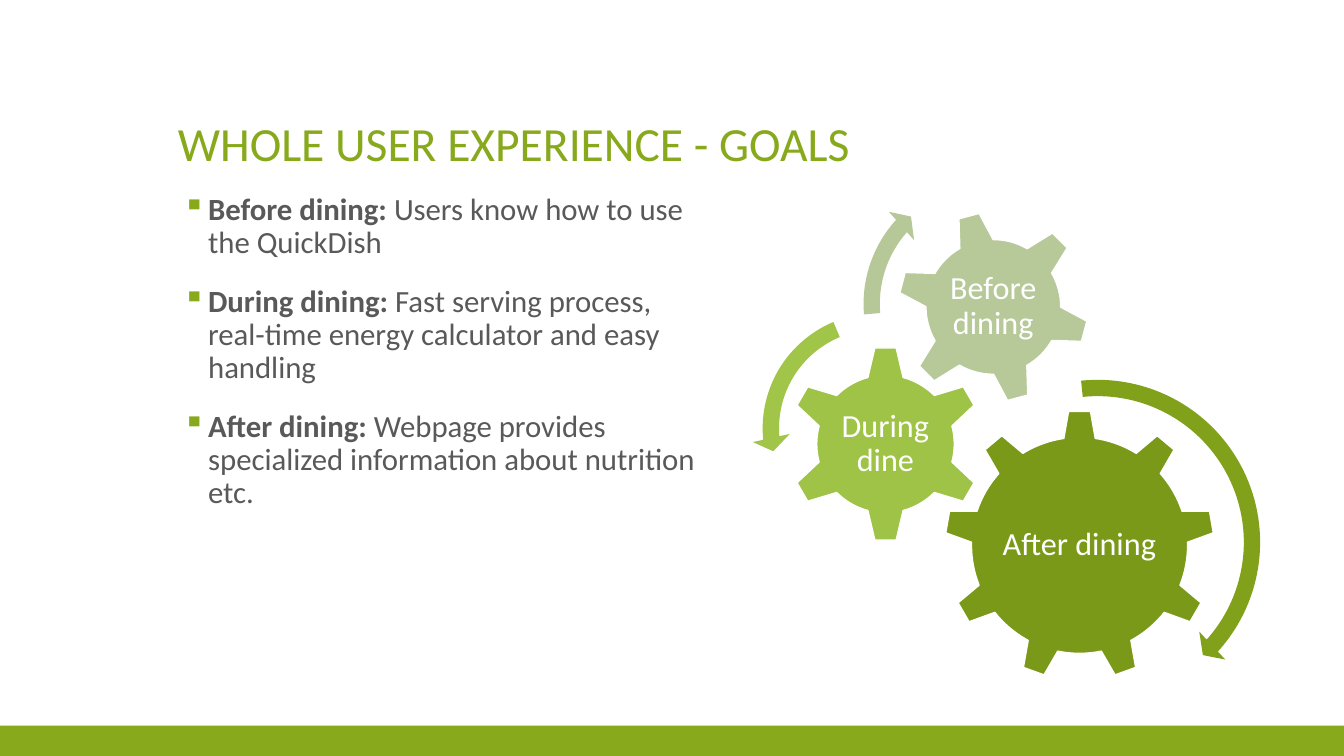
from pptx import Presentation, util as u
from pptx.dml.color import RGBColor
from pptx.enum import shapes as sh, text as tx
from lxml import etree

deck = Presentation()
deck.slide_width, deck.slide_height = u.Inches(13.333), u.Inches(7.5)
slide = deck.slides.add_slide(deck.slide_layouts[6])
unit = deck.slide_width / 80  # grid of 80 columns by 45 rows
kind = sh.MSO_SHAPE
GREEN, GREY, WHITE = "87A91B", "595959", "FFFFFF"


def draw(form, box, fill, line=None):
    item = slide.shapes.add_shape(form, *[round(n * unit) for n in box])
    item.shadow.inherit = False
    item.fill.solid()
    item.fill.fore_color.rgb = RGBColor.from_string(fill)
    if line:
        item.line.color.rgb = RGBColor.from_string(line)
        item.line.width = u.Pt(1)
    else:
        item.line.fill.background()
    return item


def write(paras, box, size, color, anchor="TOP", align="LEFT", inset=None, bullet=None):
    """Each paragraph is a list of (words, bold) pairs."""
    frame = slide.shapes.add_textbox(*[round(n * unit) for n in box]).text_frame
    frame.word_wrap = True
    frame.vertical_anchor = tx.MSO_ANCHOR[anchor]
    if inset is not None:
        frame.margin_left = frame.margin_right = u.Inches(inset)
        frame.margin_top = frame.margin_bottom = u.Inches(inset)
    for i, runs in enumerate(paras):
        para = frame.add_paragraph() if i else frame.paragraphs[0]
        para.alignment = tx.PP_ALIGN[align]
        para.line_spacing = 0.9
        if bullet:
            para.space_before = u.Pt(18)
            props = para._p.get_or_add_pPr()
            props.set("marL", str(u.Inches(0.3)))
            props.set("indent", str(u.Inches(-0.25)))
            ns = props.nsmap["a"]
            tint = etree.SubElement(props, f"{{{ns}}}buClr")
            etree.SubElement(tint, f"{{{ns}}}srgbClr", val=GREEN)
            etree.SubElement(props, f"{{{ns}}}buChar", char=bullet)
        for words, bold in runs:
            run = para.add_run()
            run.text = words
            run.font.name, run.font.size, run.font.bold = "Calibri", u.Pt(size), bold
            run.font.color.rgb = RGBColor.from_string(color)


# Band, title and goals
draw(kind.RECTANGLE, (0, 43.2, 80, 1.8), GREEN)
write([[("WHOLE USER EXPERIENCE - GOALS", False)]], (10, 3, 60, 7.5), 34, GREEN, anchor="BOTTOM")
goals = [
    ("Before dining: ", "Users know how to use the QuickDish"),
    ("During dining: ", "Fast serving process, real-time energy calculator and easy handling"),
    ("After dining: ", "Webpage provides specialized information about nutrition etc."),
]
write([[(stage, True), (goal, False)] for stage, goal in goals],
      (10, 11.25, 33, 29.25), 22, GREY, bullet="▪")

# Gears: form, centre, size, turn, fill, label, label size
gears = [
    (kind.GEAR_9, 64.26, 32.46, 16.08, 0, "7B9919", "After dining", 9.6, 8.3),
    (kind.GEAR_6, 52.71, 26.43, 11.7, 0, "9EC346", "During dine", 5.82, 5.76),
    (kind.GEAR_6, 59.13, 18.27, 11.46, 345, "B7C899", "Before dining", 6.42, 6.42),
]
for form, x, y, size, turn, fill, label, wide, high in gears:
    gear = draw(form, (x - size / 2, y - size / 2, size, size), fill, WHITE)
    gear.rotation = turn
    write([[(label, False)]], (x - wide / 2, y - high / 2, wide, high), 23, WHITE,
          anchor="MIDDLE", align="CENTER", inset=0.03)

# Turning arrows: form, left, top, size, fill, adjustments
arrows = [
    (kind.CIRCULAR_ARROW, 55.02, 21.96, 20.64, "81A11A", (0.047, 2.99, 25.222, 158.482, 0.055)),
    (kind.LEFT_CIRCULAR_ARROW, 44.76, 18, 15, "A0C549", (0.065, 4.3, 104.891, 148.378, 0.075)),
    (kind.CIRCULAR_ARROW, 50.76, 10.02, 16.14, "B7C898", (0.06, 3.941, 133.138, 105.082, 0.07)),
]
for form, x, y, size, fill, bends in arrows:
    arrow = draw(form, (x, y, size, size), fill)
    for i, bend in enumerate(bends):
        arrow.adjustments[i] = bend

deck.save("out.pptx")
